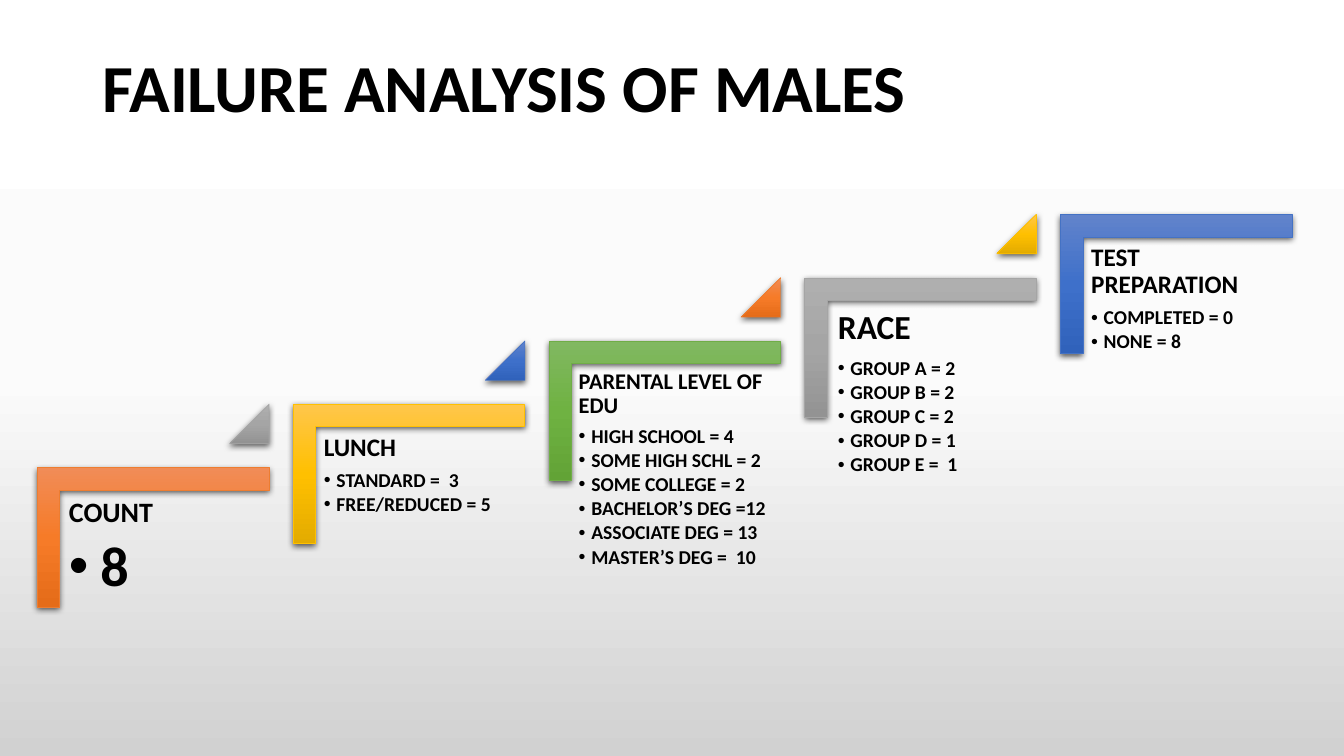
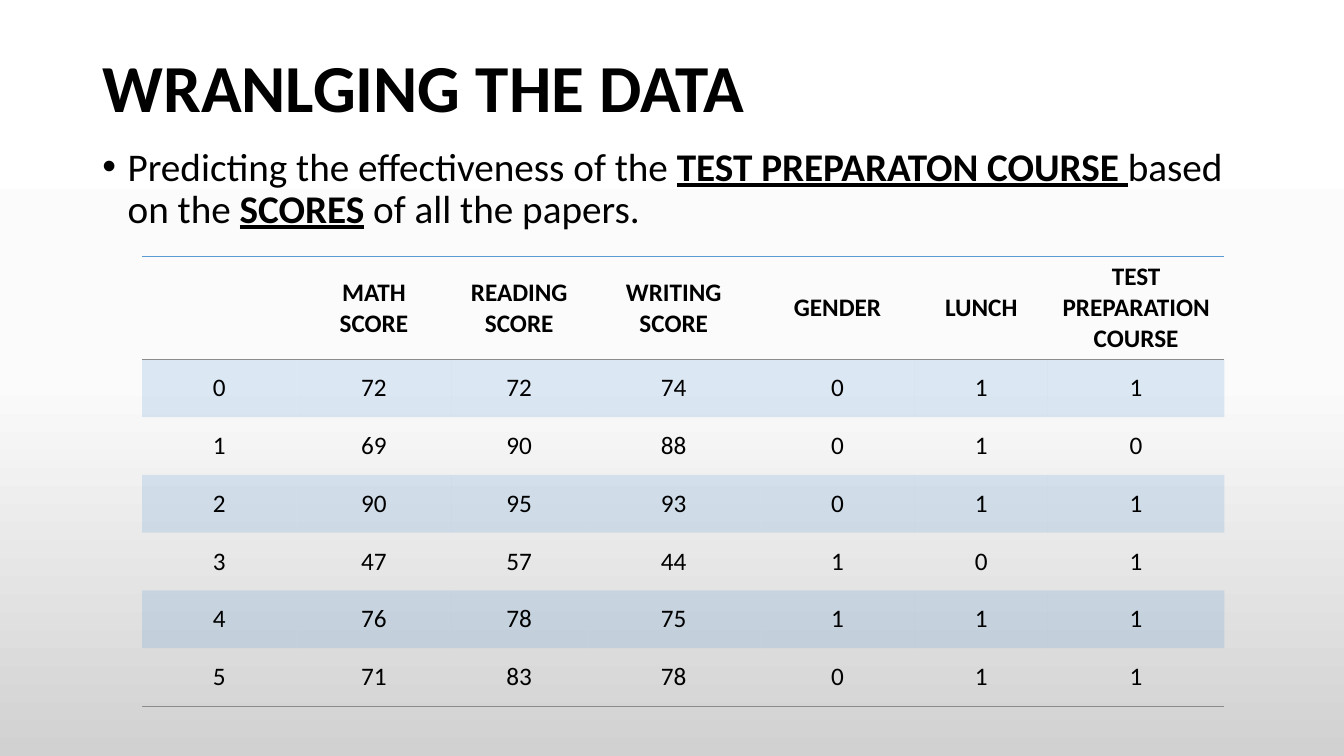
from lxml import etree
from pptx import Presentation
from pptx.dml.color import RGBColor
from pptx.enum import shapes, text
from pptx.oxml.ns import qn
from pptx.util import Pt

FONT = "Calibri"
COLORS = {"text": "000000", "accent": "5B9BD5", "rule": "8C8C8C"}
BACKGROUND = ("FFFFFF", "FBFBFB", "D1D1D1")

# Each step colour: its line, then the gradient from top to bottom
STEP_COLORS = {
    "orange": ("ED7D31", ("F18C57", "F67B28", "E56C19")),
    "gray": ("A5A5A5", ("AFAFAF", "A5A5A5", "939393")),
    "yellow": ("FFC000", ("FFC64B", "FFC000", "E3AB00")),
    "blue": ("4472C4", ("6183CB", "3E70CA", "3062BB")),
    "green": ("70AD47", ("81B861", "6FB242", "62A336")),
}

# Heading, heading size, item size, item indent, items
STEPS = [
    ("COUNT", 20, 40, 22.5, ["8"]),
    ("LUNCH", 18, 14, 9, ["STANDARD =  3", "FREE/REDUCED = 5"]),
    ("PARENTAL LEVEL OF EDU", 16, 14, 9,
     ["HIGH SCHOOL = 4", "SOME HIGH SCHL = 2", "SOME COLLEGE = 2",
      "BACHELOR’S DEG =12", "ASSOCIATE DEG = 13", "MASTER’S DEG =  10"]),
    ("RACE", 24, 14, 9,
     ["GROUP A = 2", "GROUP B = 2", "GROUP C = 2", "GROUP D = 1", "GROUP E =  1"]),
    ("TEST PREPARATION", 18, 14, 9, ["COMPLETED = 0", "NONE = 8"]),
]

# Text and whether it is emphasised
INTRO = [
    ("Predicting the effectiveness of the ", False),
    ("TEST PREPARATON COURSE ", True),
    ("based on the ", False),
    ("SCORES", True),
    (" of all the papers.", False),
]
HEADERS = ["", "MATH SCORE", "READING SCORE", "WRITING SCORE", "GENDER", "LUNCH",
           "TEST PREPARATION COURSE"]
SCORES = [
    (0, 72, 72, 74, 0, 1, 1),
    (1, 69, 90, 88, 0, 1, 0),
    (2, 90, 95, 93, 0, 1, 1),
    (3, 47, 57, 44, 1, 0, 1),
    (4, 76, 78, 75, 1, 1, 1),
    (5, 71, 83, 78, 0, 1, 1),
]
COLUMN_WIDTHS = [110.4, 110.4, 97.2, 123.6, 110.4, 95, 126.2]
PLAIN_TABLE = "{2D5ABB26-0587-4C30-8999-92F81FD0307C}"


def sub(parent, tag, **attributes):
    return etree.SubElement(parent, qn(tag), attributes)


def place(shape, left, top, width, height):
    shape.left, shape.top = Pt(left), Pt(top)
    shape.width, shape.height = Pt(width), Pt(height)


def style_font(font, size, bold=False, underline=False):
    font.name, font.size = FONT, Pt(size)
    font.bold, font.underline = bold, underline
    font.color.rgb = RGBColor.from_string(COLORS["text"])


def set_gradient(fill, owner, colors):
    """Vertical gradient with evenly spaced stops."""
    fill.gradient()
    fill.gradient_angle = 270
    gradient = owner.find(".//" + qn("a:gradFill"))
    gradient.set("rotWithShape", "0")
    stops = gradient.find(qn("a:gsLst"))
    for stop in list(stops):
        stops.remove(stop)
    for index, color in enumerate(colors):
        position = 100000 * index // (len(colors) - 1)
        sub(sub(stops, "a:gs", pos=str(position)), "a:srgbClr", val=color)


def set_bullet(para, indent):
    properties = para._p.get_or_add_pPr()
    properties.set("marL", str(Pt(indent)))
    properties.set("indent", str(-Pt(indent)))
    sub(properties, "a:buFont", typeface="Arial")
    sub(properties, "a:buChar", char="•")


def add_page(deck, layout, title):
    page = deck.slides.add_slide(deck.slide_layouts[layout])
    box = page.shapes.title
    place(box, 66, 28.75, 828, 72.5)
    frame = box.text_frame
    frame.text = title
    frame.auto_size = text.MSO_AUTO_SIZE.NONE
    frame.vertical_anchor = text.MSO_ANCHOR.MIDDLE
    para = frame.paragraphs[0]
    para.alignment = text.PP_ALIGN.LEFT
    para.line_spacing = 0.9
    style_font(para.runs[0].font, 48, bold=True)
    return page


# Staircase
def add_step_shape(page, kind, bounds, color, adjustments):
    line, gradient = STEP_COLORS[color]
    shape = page.shapes.add_shape(kind, *map(Pt, bounds))
    for index, value in enumerate(adjustments):
        shape.adjustments[index] = value
    set_gradient(shape.fill, shape._element, gradient)
    shape.line.color.rgb = RGBColor.from_string(line)
    shape.line.width = Pt(0.5)
    shape.shadow.inherit = False
    effects = shape._element.spPr.find(qn("a:effectLst"))
    shadow = sub(effects, "a:outerShdw", blurRad=str(Pt(4.5)), dist=str(Pt(1.5)),
                 dir="5400000", algn="ctr", rotWithShape="0")
    sub(sub(shadow, "a:srgbClr", val="000000"), "a:alpha", val="63000")
    return shape


def add_step_text(page, left, top, width, step):
    heading, heading_size, item_size, indent, items = step
    frame = page.shapes.add_textbox(Pt(left), Pt(top), Pt(width), Pt(131)).text_frame
    frame.word_wrap = True
    inset = Pt(0.3 * heading_size)
    frame.margin_left = frame.margin_right = inset
    frame.margin_top = frame.margin_bottom = inset
    frame.text = "\n".join([heading, *items])
    for index, para in enumerate(frame.paragraphs):
        size, gap = (item_size, 0.15) if index else (heading_size, 0.35)
        para.line_spacing = 0.9
        para.space_after = Pt(round(gap * size, 1))
        style_font(para.runs[0].font, size, bold=True)
        if index:
            set_bullet(para, indent)


def add_staircase(page):
    width = 149
    palette = list(STEP_COLORS)
    for index, step in enumerate(STEPS):
        left, top = 43.2 + 182.7 * index, 350.1 - 45.2 * index
        corner = add_step_shape(page, shapes.MSO_SHAPE.CORNER,
                                (left + 16.5, top - 49, 99.4, 165.4),
                                palette[2 * index % len(palette)], (0.161, 0.161))
        corner.rotation = 90
        add_step_text(page, left, top, width, step)
        if index < len(STEPS) - 1:
            add_step_shape(page, shapes.MSO_SHAPE.ISOSCELES_TRIANGLE,
                           (left + width - 28.2, top - 61.4, 28.2, 28.2),
                           palette[(2 * index + 1) % len(palette)], (1,))


# Intro text and score table
def add_intro(page):
    body = page.placeholders[1]
    place(body, 66, 101.5, 828, 412.5)
    body.text_frame.auto_size = text.MSO_AUTO_SIZE.NONE
    para = body.text_frame.paragraphs[0]
    para.line_spacing = 0.9
    para.space_before = Pt(10)
    set_bullet(para, 18)
    for words, strong in INTRO:
        span = para.add_run()
        span.text = words
        style_font(span.font, 28, strong, strong)


def add_border(cell, tag, color, width):
    line = sub(cell._tc.get_or_add_tcPr(), tag, w=str(Pt(width)))
    sub(sub(line, "a:solidFill"), "a:srgbClr", val=color)


def fill_cell(cell, banded):
    if not banded:
        cell.fill.background()
        return
    cell.fill.solid()
    cell.fill.fore_color.rgb = RGBColor.from_string(COLORS["accent"])
    color = cell._tc.tcPr.find(qn("a:solidFill") + "/" + qn("a:srgbClr"))
    sub(color, "a:alpha", val="20000")


def add_scores(page):
    rows = [HEADERS, *SCORES]
    frame = page.shapes.add_table(len(rows), len(HEADERS), Pt(101.5), Pt(183.5),
                                  Pt(sum(COLUMN_WIDTHS)), Pt(320.9))
    table = frame.table
    table._tbl.tblPr.find(qn("a:tableStyleId")).text = PLAIN_TABLE
    for column, width in zip(table.columns, COLUMN_WIDTHS):
        column.width = Pt(width)
    for row_index, values in enumerate(rows):
        header = row_index == 0
        table.rows[row_index].height = Pt(73.1 if header else 41.3)
        for cell, value in zip(table.rows[row_index].cells, values):
            cell.text = str(value)
            cell.vertical_anchor = text.MSO_ANCHOR.MIDDLE
            para = cell.text_frame.paragraphs[0]
            para.alignment = text.PP_ALIGN.CENTER
            for span in para.runs:
                style_font(span.font, 18, bold=header)
            if header:
                add_border(cell, "a:lnT", COLORS["accent"], 1)
            if row_index in (0, len(rows) - 1):
                add_border(cell, "a:lnB", COLORS["rule"], 0.5)
            fill_cell(cell, banded=row_index % 2 == 1)


def main():
    deck = Presentation()
    deck.slide_width, deck.slide_height = Pt(960), Pt(540)
    master = deck.slide_master
    set_gradient(master.background.fill, master.element, BACKGROUND)

    add_staircase(add_page(deck, 5, "FAILURE ANALYSIS OF MALES"))

    page = add_page(deck, 1, "WRANLGING THE DATA")
    add_intro(page)
    add_scores(page)

    deck.save("out.pptx")


if __name__ == "__main__":
    main()
